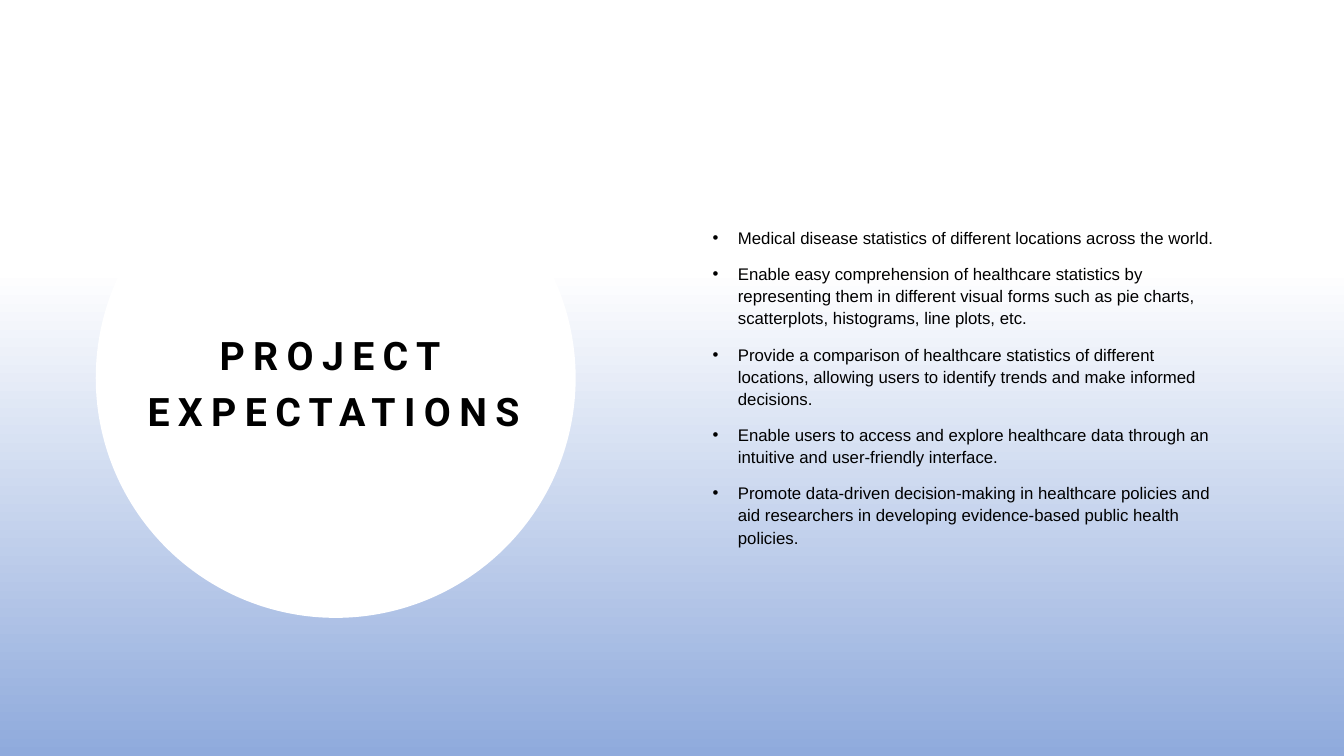
"""Build the project expectations slide."""
from lxml import etree
from pptx import Presentation, util as u
from pptx.dml.color import RGBColor
from pptx.enum import shapes, text
from pptx.oxml import ns

HEADING = "PROJECT EXPECTATIONS"
EXPECTATIONS = [
    "Medical disease statistics of different locations across the world.",
    "Enable easy comprehension of healthcare statistics by representing them in different "
    "visual forms such as pie charts, scatterplots, histograms, line plots, etc.",
    "Provide a comparison of healthcare statistics of different locations, allowing users "
    "to identify trends and make informed decisions.",
    "Enable users to access and explore healthcare data through an intuitive and "
    "user-friendly interface.",
    "Promote data-driven decision-making in healthcare policies and aid researchers in "
    "developing evidence-based public health policies.",
]


class Theme:
    """Colours and type formats."""
    white = RGBColor.from_string("FFFFFF")
    blue = RGBColor.from_string("8FAADC")
    black = RGBColor.from_string("000000")
    heading = {"name": "Roboto", "size": u.Pt(28), "bold": True}
    expectation = {"name": "Arial", "size": u.Pt(12), "bold": False}
    frame = {"word_wrap": True, "auto_size": text.MSO_AUTO_SIZE.NONE,
             "vertical_anchor": text.MSO_ANCHOR.MIDDLE}
    tracking = 6


WIDTH, HEIGHT = 13.33, 7.5
BOXES = {
    "glow": (0, 1.46, WIDTH, HEIGHT - 1.46),
    "disc": (0.95, 1.37, 4.76, 4.76),
    "heading": (1.14, 2.5, 4.34, 2.5),
    "expectations": (6.97, 0.92, 5.22, 5.83),
}


def apply(target, values):
    """Set each named attribute on the target."""
    for name, value in values.items():
        setattr(target, name, value)


def place(name):
    """Return the box of a part as lengths."""
    return [u.Inches(length) for length in BOXES[name]]


def add_backdrop(slide, kind, name):
    """Add a plain shape without outline or shadow."""
    part = slide.shapes.add_shape(kind, *place(name))
    part.shadow.inherit = False
    part.line.fill.background()
    return part


def write(paragraph, words, font, **spacing):
    """Fill a paragraph with one formatted run."""
    apply(paragraph, spacing)
    run = paragraph.add_run()
    run.text = words
    apply(run.font, font)
    run.font.color.rgb = Theme.black
    return run


def add_bullet(paragraph):
    """Give a paragraph a hanging bullet."""
    properties = paragraph._p.get_or_add_pPr()
    properties.set("marL", str(u.Inches(0.25)))
    properties.set("indent", str(-u.Inches(0.25)))
    etree.SubElement(properties, ns.qn("a:buFont")).set("typeface", "Arial")
    etree.SubElement(properties, ns.qn("a:buChar")).set("char", "•")


def add_heading(slide):
    """Place the title in front of the disc."""
    heading = slide.shapes.title
    apply(heading, dict(zip(("left", "top", "width", "height"), place("heading"))))
    heading.element.getparent().append(heading.element)
    apply(heading.text_frame, Theme.frame)
    run = write(heading.text_frame.paragraphs[0], HEADING, Theme.heading,
                alignment=text.PP_ALIGN.CENTER, line_spacing=1.2)
    run.font._element.set("spc", str(Theme.tracking * 100))


def add_expectations(slide):
    """Add the bulleted list."""
    frame = slide.shapes.add_textbox(*place("expectations")).text_frame
    apply(frame, Theme.frame)
    for index, expectation in enumerate(EXPECTATIONS):
        paragraph = frame.add_paragraph() if index else frame.paragraphs[0]
        add_bullet(paragraph)
        write(paragraph, expectation, Theme.expectation, line_spacing=1.1,
              space_before=u.Pt(10 if index else 0))


def main():
    """Assemble and save the slide."""
    deck = Presentation()
    apply(deck, {"slide_width": u.Inches(WIDTH), "slide_height": u.Inches(HEIGHT)})
    slide = deck.slides.add_slide(deck.slide_layouts.get_by_name("Title Only"))

    glow = add_backdrop(slide, shapes.MSO_SHAPE.RECTANGLE, "glow")
    glow.fill.gradient()
    glow.fill.gradient_angle = 270
    stops = ((0.2, Theme.white), (1, Theme.blue))
    for stop, (position, colour) in zip(glow.fill.gradient_stops, stops):
        stop.position = position
        stop.color.rgb = colour

    disc = add_backdrop(slide, shapes.MSO_SHAPE.OVAL, "disc")
    disc.fill.solid()
    disc.fill.fore_color.rgb = Theme.white

    add_heading(slide)
    add_expectations(slide)
    deck.save("out.pptx")


if __name__ == "__main__":
    main()
